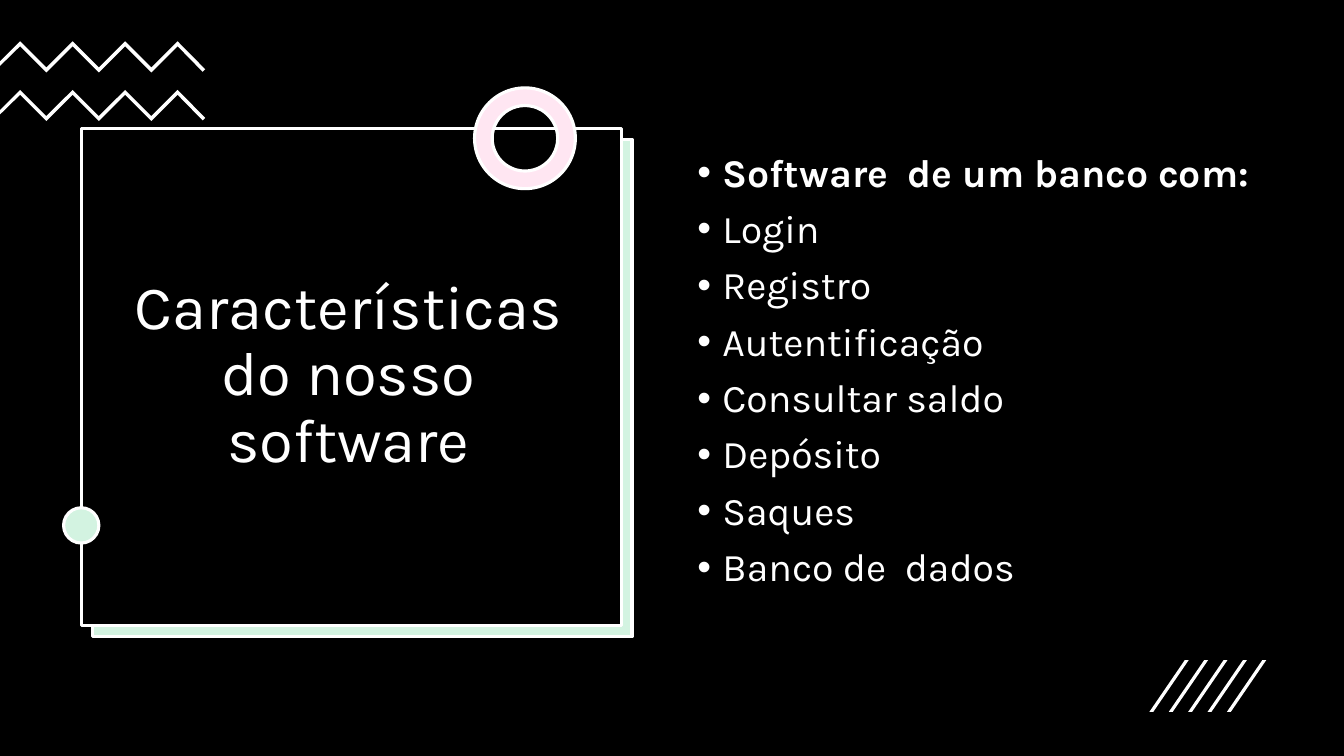
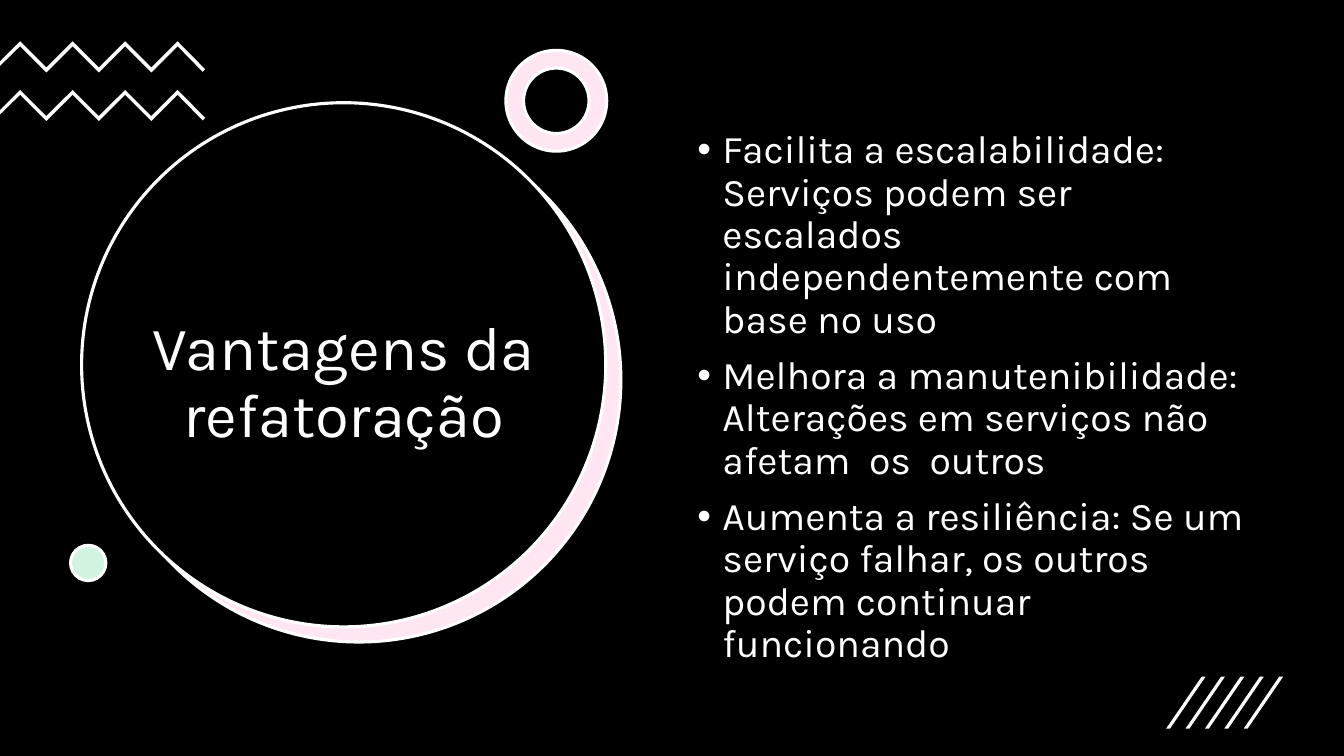
from dataclasses import dataclass

from lxml.etree import SubElement
from pptx import Presentation
from pptx.dml.color import RGBColor as RGB
from pptx.enum.shapes import MSO_SHAPE as Kind
from pptx.enum.text import MSO_ANCHOR as Anchor, PP_ALIGN as Align
from pptx.oxml.ns import qn
from pptx.util import Pt


@dataclass(frozen=True)
class Theme:
    back: RGB = RGB(0x00, 0x00, 0x00)
    ink: RGB = RGB(0xFF, 0xFF, 0xFF)
    mint: RGB = RGB(0xD3, 0xF3, 0xE1)
    pink: RGB = RGB(0xFF, 0xE6, 0xF2)
    font: str = "Karla"
    title: int = 44
    body: int = 28
    rule: float = 2.25
    lead: float = 0.9
    gap: int = 10
    hang: int = 18


class Deck:
    def __init__(self, theme):
        self.theme = theme
        self.prs = Presentation()
        self.prs.slide_width, self.prs.slide_height = Pt(960), Pt(540)
        self.slide = None

    def start(self):
        self.slide = self.prs.slides.add_slide(self.prs.slide_layouts[6])
        fill = self.slide.background.fill
        fill.solid()
        fill.fore_color.rgb = self.theme.back

    def shape(self, kind, box, color):
        item = self.slide.shapes.add_shape(kind, *map(Pt, box))
        item.shadow.inherit = False
        item.fill.solid()
        item.fill.fore_color.rgb = color
        item.line.color.rgb = self.theme.ink
        item.line.width = Pt(self.theme.rule)
        return item

    def panel(self, kind, box, shift, color):
        """Draw a black outlined panel over its offset tinted twin."""
        left, top, wide, high = box
        self.shape(kind, (left + shift, top + shift, wide, high), color)
        self.shape(kind, box, self.theme.back)

    def ring(self, left, top):
        item = self.shape(Kind.DONUT, (left, top, 72, 72), self.theme.pink)
        item.adjustments[0] = 0.175

    def dot(self, left, top):
        self.shape(Kind.OVAL, (left, top, 25.2, 25.2), self.theme.mint)

    def solid(self, points):
        """Fill a closed white outline."""
        first, *rest = [(Pt(x), Pt(y)) for x, y in points]
        form = self.slide.shapes.build_freeform(*first)
        form.add_line_segments(rest, close=True)
        item = form.convert_to_shape()
        item.shadow.inherit = False
        item.fill.solid()
        item.fill.fore_color.rgb = self.theme.ink
        item.line.fill.background()

    def waves(self):
        step, thick = 18.75, 3.5
        for top in (29.5, 64.2):
            turns = [(14.4 + step * i, top + step * (i % 2)) for i in range(7)]
            under = [(x, y + thick) for x, y in reversed(turns)]
            tip = [(146.6, top + 20), (144.8, top + 21.8)]
            edge = [(0, top + 17.6), (0, top + 14.4)]
            self.solid(turns + tip + under + edge)

    def slashes(self, left, top):
        wide, high, thick = 28.1, 37, 2.8
        for i in range(5):
            x = left + 13.85 * i
            self.solid([(x, top + high), (x + thick, top + high),
                        (x + wide, top), (x + wide - thick, top)])

    def frame(self, box, anchor):
        frame = self.slide.shapes.add_textbox(*map(Pt, box)).text_frame
        frame.word_wrap = True
        frame.vertical_anchor = anchor
        return frame

    def add_text(self, para, text, size, bold=False):
        para.line_spacing = self.theme.lead
        run = para.add_run()
        run.text = text
        run.font.name = self.theme.font
        run.font.size = Pt(size)
        run.font.bold = bold
        run.font.color.rgb = self.theme.ink

    def title(self, box, text):
        para = self.frame(box, Anchor.MIDDLE).paragraphs[0]
        para.alignment = Align.CENTER
        self.add_text(para, text, self.theme.title)

    def bullets(self, top, items, head=False):
        """List the items; head makes the first one bold."""
        frame = self.frame((491, top, 411, 343), Anchor.TOP)
        for i, text in enumerate(items):
            para = frame.add_paragraph() if i else frame.paragraphs[0]
            self.add_text(para, text, self.theme.body, head and i == 0)
            para.space_before = Pt(self.theme.gap)
            props = para._p.get_or_add_pPr()
            props.set("marL", str(Pt(self.theme.hang)))
            props.set("indent", str(-Pt(self.theme.hang)))
            SubElement(props, qn("a:buFont"), typeface="Arial")
            SubElement(props, qn("a:buChar"), char="•")


def main():
    theme = Theme()
    deck = Deck(theme)

    deck.start()
    deck.panel(Kind.RECTANGLE, (58.3, 92, 385.5, 355), 7.7, theme.mint)
    deck.ring(339, 62.8)
    deck.title((87, 99.4, 324, 338.4), "Características do nosso software")
    deck.waves()
    deck.dot(45.4, 362.7)
    deck.bullets(106, [
        "Software  de um banco com:",
        "Login",
        "Registro",
        "Autentificação",
        "Consultar saldo",
        "Depósito",
        "Saques",
        "Banco de  dados",
    ], head=True)
    deck.slashes(821, 471.5)

    deck.start()
    deck.panel(Kind.OVAL, (58.3, 73.4, 374.4, 374.4), 10.8, theme.pink)
    deck.title((87, 147.6, 317.5, 253.4), "Vantagens da refatoração")
    deck.waves()
    deck.ring(361.4, 36)
    deck.dot(50.4, 389.5)
    deck.bullets(89.3, [
        "Facilita a escalabilidade: Serviços podem ser escalados "
        "independentemente com base no uso",
        "Melhora a manutenibilidade: Alterações em serviços não "
        "afetam  os  outros",
        "Aumenta a resiliência: Se um serviço falhar, os outros podem "
        "continuar funcionando",
    ])
    deck.slashes(833, 483.4)

    deck.prs.save("out.pptx")


if __name__ == "__main__":
    main()
